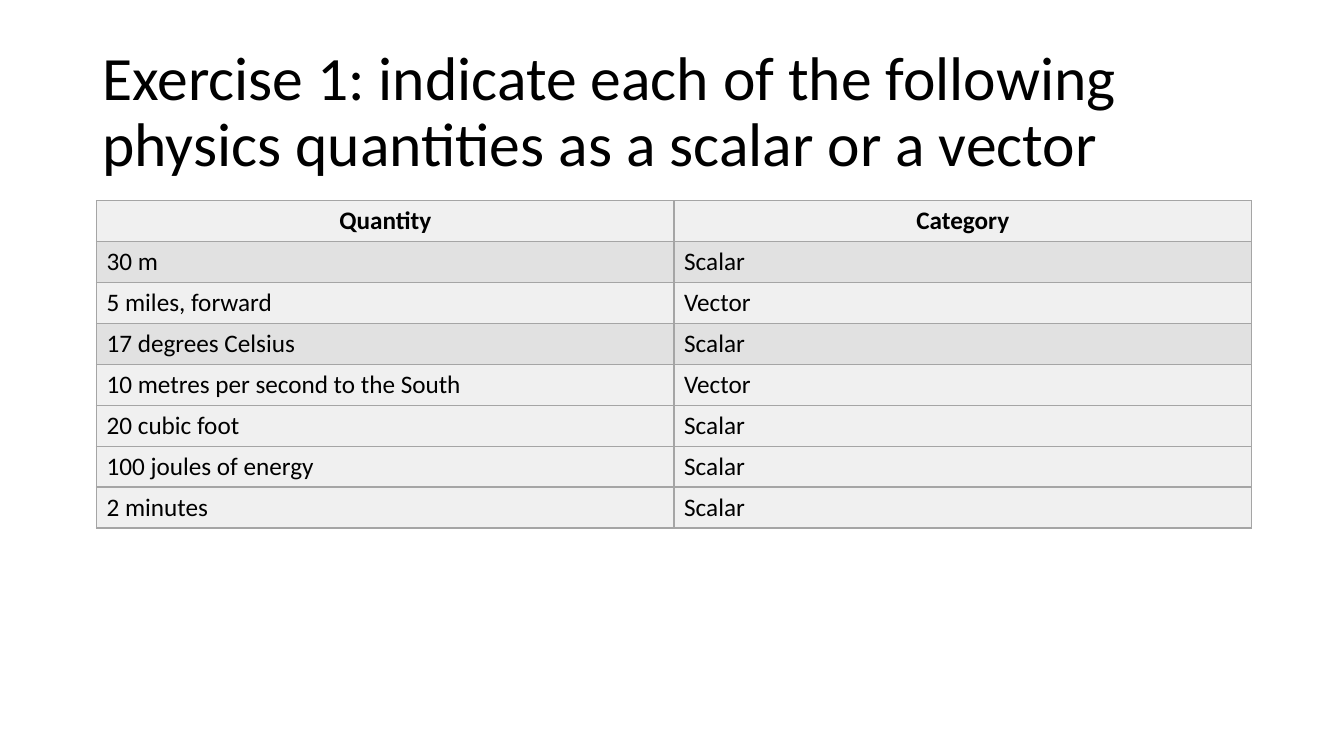
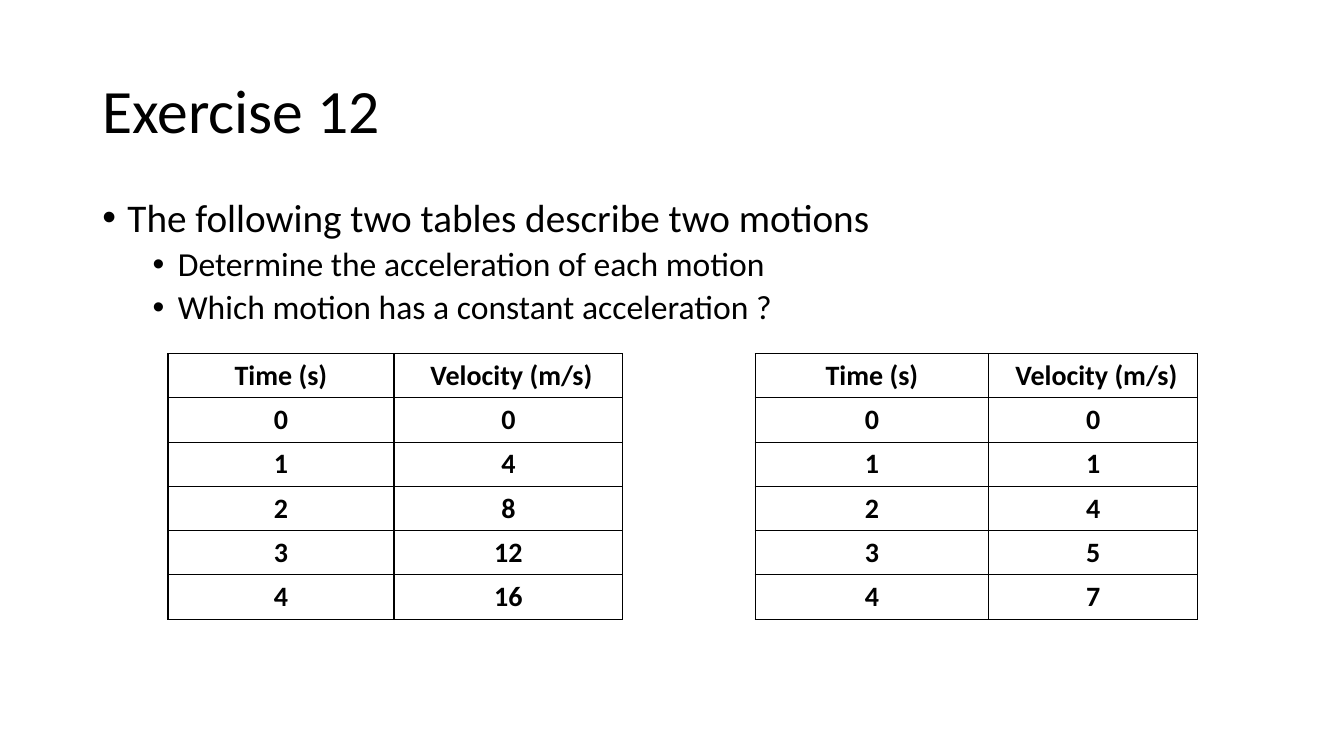
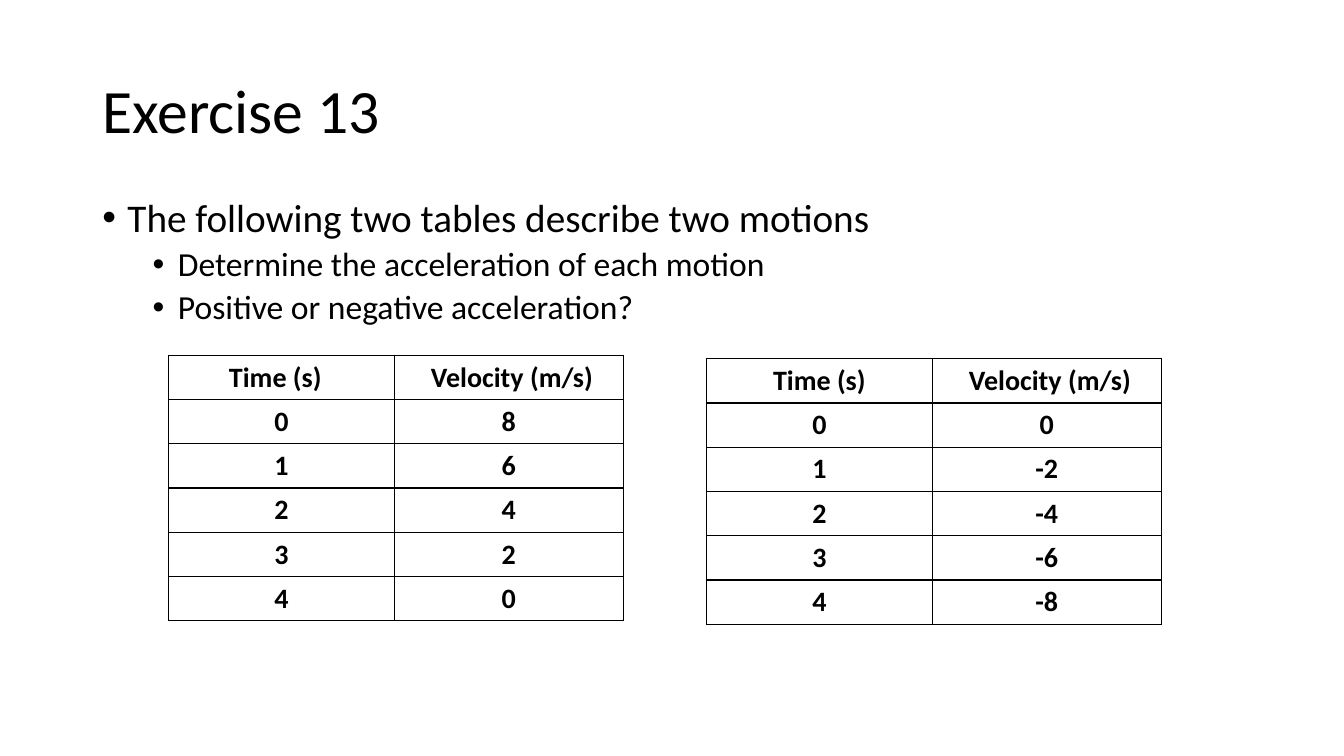
from dataclasses import dataclass

from lxml.etree import SubElement
from pptx import Presentation
from pptx.dml.color import RGBColor
from pptx.enum.text import MSO_ANCHOR, PP_ALIGN
from pptx.oxml.ns import qn
from pptx.util import Inches, Pt

# The slide is a grid of 160 columns by 90 rows of square units.
COLS, ROWS = 160, 90
UNIT = Inches(1) / 12

FONT = "Calibri"
BLACK = RGBColor(0x00, 0x00, 0x00)
GREY = RGBColor(0xA5, 0xA5, 0xA5)
LIGHT_BAND = RGBColor(0xF0, 0xF0, 0xF0)
DARK_BAND = RGBColor(0xE1, 0xE1, 0xE1)

TITLE_BOX = (11, 4.8, 138, 17.4)
BODY_BOX = (11, 23, 138, 57)


@dataclass(frozen=True)
class TableStyle:
    size: int
    row_height: float
    border: RGBColor
    bands: tuple[RGBColor, ...] = ()
    all_bold_centred: bool = False


@dataclass(frozen=True)
class Bullet:
    size: int
    left: float
    space_before: int


@dataclass(frozen=True)
class Motion:
    """A table of velocities, one per second from zero."""
    left: float
    top: float
    widths: tuple[float, float]
    velocities: tuple[int, ...]
    header_shift: float = 0


@dataclass(frozen=True)
class MotionExercise:
    title: str
    question: str
    motions: tuple[Motion, Motion]


QUANTITY_STYLE = TableStyle(18, 4.87, GREY, (LIGHT_BAND, DARK_BAND))
MOTION_STYLE = TableStyle(20, 5.27, BLACK, all_bold_centred=True)
BULLETS = (Bullet(28, 3, 10), Bullet(24, 9, 5))
HANGING = 3

QUANTITY_HEADER = ("Quantity", "Category")
QUANTITY_TABLES = (
    (
        QUANTITY_HEADER,
        ("30 m", "Scalar"),
        ("5 miles, forward", "Vector"),
        ("17 degrees Celsius", "Scalar"),
        ("10 metres per second to the South", "Vector"),
    ),
    (("20 cubic foot", "Scalar"),),
    (("100 joules of energy", "Scalar"),),
    (("2 minutes", "Scalar"),),
)

MOTION_HEADER = ("Time (s)", " Velocity (m/s)")
MOTION_WIDTHS = (26.9, 27.25)
MOTION_EXERCISES = (
    MotionExercise("Exercise 12", "Which motion has a constant acceleration ?", (
        Motion(20, 42.1, MOTION_WIDTHS, (0, 4, 8, 12, 16)),
        Motion(89.9, 42.1, (27.8, 24.9), (0, 1, 4, 5, 7)),
    )),
    MotionExercise("Exercise 13", "Positive or negative acceleration?", (
        Motion(20.05, 42.3, MOTION_WIDTHS, (8, 6, 4, 2, 0), header_shift=0.72),
        Motion(84.1, 42.7, MOTION_WIDTHS, (0, -2, -4, -6, -8)),
    )),
)


def grid(units: float) -> int:
    return round(units * UNIT)


def add_text(p, text: str, size: int, bold: bool = False) -> None:
    r = p.add_run()
    r.text = text
    for name, value in {"name": FONT, "size": Pt(size), "bold": bold}.items():
        setattr(r.font, name, value)
    r.font.color.rgb = BLACK


def add_box(s, box: tuple[float, ...], anchor: MSO_ANCHOR):
    tf = s.shapes.add_textbox(*map(grid, box)).text_frame
    tf.word_wrap = True
    tf.vertical_anchor = anchor
    return tf


def add_titled_slide(prs, title: str):
    s = prs.slides.add_slide(prs.slide_layouts[6])
    p = add_box(s, TITLE_BOX, MSO_ANCHOR.MIDDLE).paragraphs[0]
    p.line_spacing = 0.9
    add_text(p, title, 44)
    return s


def add_bullets(s, items: list[tuple[int, str]]) -> None:
    """Draw (level, text) items in the body box."""
    tf = add_box(s, BODY_BOX, MSO_ANCHOR.TOP)
    for i, (level, text) in enumerate(items):
        bullet = BULLETS[level]
        p = tf.add_paragraph() if i else tf.paragraphs[0]
        p.level = level
        p.line_spacing = 0.9
        p.space_before = Pt(bullet.space_before)
        pPr = p._p.get_or_add_pPr()
        pPr.set("marL", str(grid(bullet.left)))
        pPr.set("indent", str(-grid(HANGING)))
        SubElement(pPr, qn("a:buFont"), typeface="Arial")
        SubElement(pPr, qn("a:buChar"), char="•")
        add_text(p, text, bullet.size)


def set_borders(cell, color: RGBColor) -> None:
    tcPr = cell._tc.get_or_add_tcPr()
    for side in ("lnL", "lnR", "lnT", "lnB"):
        ln = SubElement(tcPr, qn(f"a:{side}"), w=str(Pt(1)))
        fill = SubElement(ln, qn("a:solidFill"))
        SubElement(fill, qn("a:srgbClr"), val=str(color))


def add_grid_table(s, left: float, top: float, widths: tuple[float, ...],
                   rows: tuple[tuple[str, ...], ...], style: TableStyle):
    height = len(rows) * style.row_height
    table = s.shapes.add_table(
        len(rows), len(widths), *map(grid, (left, top, sum(widths), height))
    ).table
    table.first_row = table.horz_banding = False
    for column, width in zip(table.columns, widths):
        column.width = grid(width)
    for i, values in enumerate(rows):
        table.rows[i].height = grid(style.row_height)
        strong = style.all_bold_centred or values == QUANTITY_HEADER
        for j, value in enumerate(values):
            cell = table.cell(i, j)
            set_borders(cell, style.border)
            if style.bands:
                cell.fill.solid()
                cell.fill.fore_color.rgb = style.bands[i % len(style.bands)]
            else:
                cell.fill.background()
            p = cell.text_frame.paragraphs[0]
            p.alignment = PP_ALIGN.CENTER if strong else PP_ALIGN.LEFT
            add_text(p, value, style.size, strong)
    return table


def add_quantity_slide(prs) -> None:
    s = add_titled_slide(prs, "Exercise 1: indicate each of the following "
                              "physics quantities as a scalar or a vector")
    top = 23.9
    for rows in QUANTITY_TABLES:
        add_grid_table(s, 11.5, top, (68.75, 68.75), rows, QUANTITY_STYLE)
        top += len(rows) * QUANTITY_STYLE.row_height


def add_motion_slide(prs, exercise: MotionExercise) -> None:
    s = add_titled_slide(prs, exercise.title)
    add_bullets(s, [
        (0, "The following two tables describe two motions"),
        (1, "Determine the acceleration of each motion"),
        (1, exercise.question),
    ])
    for motion in exercise.motions:
        readings = ((str(t), str(v)) for t, v in enumerate(motion.velocities))
        table = add_grid_table(s, motion.left, motion.top, motion.widths,
                               (MOTION_HEADER, *readings), MOTION_STYLE)
        if motion.header_shift:
            cell = table.cell(0, 0)
            cell.margin_right += grid(2 * motion.header_shift)


def main() -> None:
    prs = Presentation()
    prs.slide_width, prs.slide_height = grid(COLS), grid(ROWS)
    add_quantity_slide(prs)
    for exercise in MOTION_EXERCISES:
        add_motion_slide(prs, exercise)
    prs.save("out.pptx")


if __name__ == "__main__":
    main()
